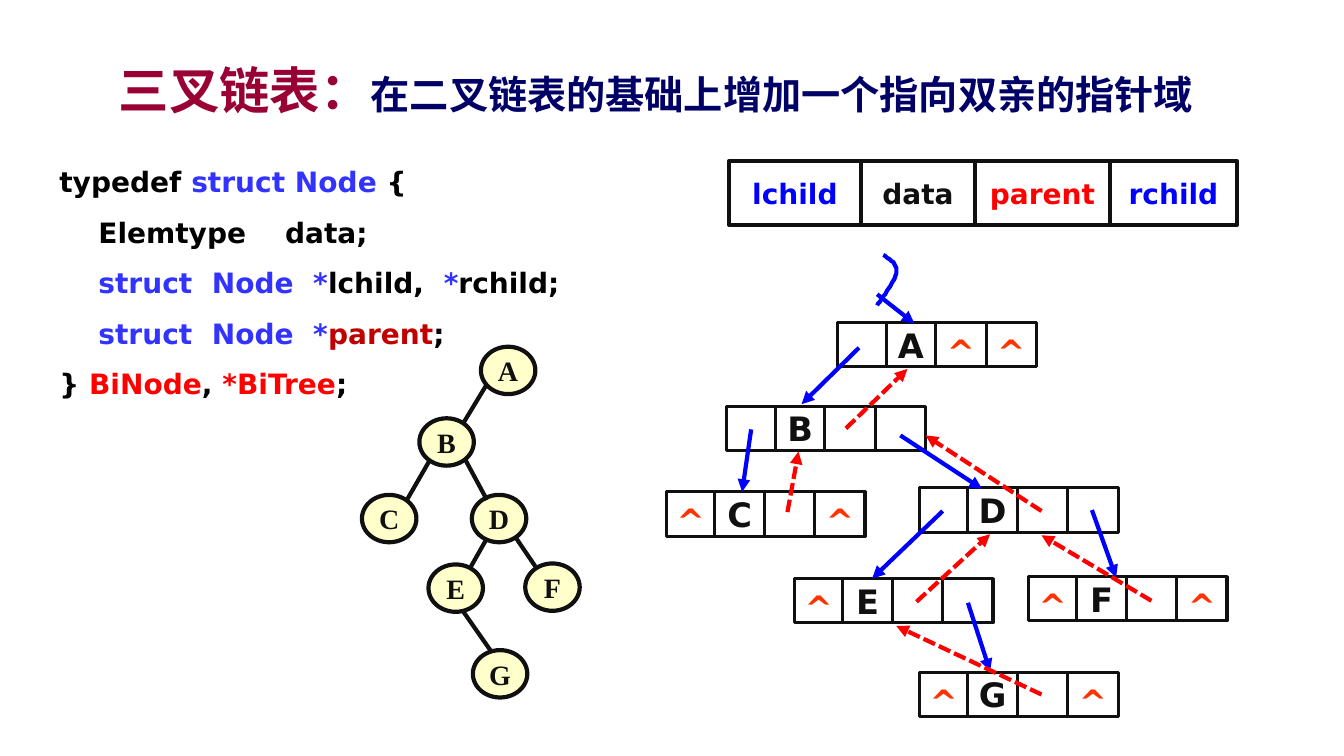
"""Build the slide on the trifurcate linked list of a binary tree."""
from itertools import pairwise

from lxml.etree import SubElement
from pptx import Presentation
from pptx.dml.color import RGBColor as RGB
from pptx.enum.dml import MSO_LINE as DASH
from pptx.enum.shapes import MSO_CONNECTOR as CONN, MSO_SHAPE as SHAPE
from pptx.enum.text import MSO_ANCHOR as ANCHOR, PP_ALIGN as ALIGN
from pptx.oxml.ns import qn
from pptx.util import Pt

PX = 9144
THEME = dict(
    sans="DejaVu Sans", serif="Times New Roman",
    black="000000", ink="101010", blue="0000FF", code="3333FF", red="FF0000",
    dark="C00000", caret="FF3300", oval="FFFFCC", title="990033", sub="000066",
    title_pt=36, sub_pt=28, letter_pt=24, body_pt=20, thick=3, thin=2.25)

TITLE = [("三叉链表：", "title", "title_pt"),
         ("在二叉链表的基础上增加一个指向双亲的指针域", "sub", "sub_pt")]
CODE = [
    [("typedef ", "black"), ("struct Node ", "code"), ("{", "black")],
    [("    Elemtype    data;", "black")],
    [("    struct  Node  *", "code"), ("lchild,  ", "black"), ("*", "code"), ("rchild;", "black")],
    [("    struct  Node  *", "code"), ("parent", "dark"), (";", "black")],
    [("} ", "black"), ("BiNode", "red"), (", ", "black"), ("*BiTree", "red"), (";", "black")],
]

OVAL_W, OVAL_H = 54, 47
TREE = {"A": (477, 344), "B": (416, 415), "C": (359, 491), "D": (468, 491),
        "E": (425, 560), "F": (521, 559), "G": (469, 645)}
BRANCHES = [(483, 381, 460, 419), (426, 457, 403, 497), (462, 457, 483, 496),
            (483, 534, 466, 564), (512, 534, 531, 562), (459, 606, 487, 646)]

FIELDS = [("lchild", "blue"), ("data", "ink"), ("parent", "red"), ("rchild", "blue")]
FIELD_TOP, FIELD_H, FIELD_EDGES = 160, 63, [723, 854, 967, 1101, 1227]
CELL_H, CELL_OFFSETS = 44, [0, 48, 97, 147, 197]
RECORDS = [(831, 320, " A^^"), (721, 403, " B  "), (661, 488, "^C ^"), (912, 484, " D  "),
           (788, 574, "^E  "), (1020, 572, "^F ^"), (912, 667, "^G ^")]
CHILD_LINKS = [(852, 345, 795, 401), (745, 426, 736, 488), (935, 507, 865, 574),
               (893, 432, 974, 485), (1083, 506, 1107, 573), (960, 598, 982, 666),
               (870, 292, 907, 321)]
PARENT_LINKS = [(839, 425, 900, 366), (781, 508, 792, 448), (1033, 507, 918, 432),
                (909, 597, 982, 530), (1033, 689, 889, 621), (1142, 596, 1033, 531)]
ROOT_CURVE = [[(876, 253), (883, 258), (890, 262), (889, 271)],
              [(889, 271), (888, 279), (873, 298), (870, 303)]]
CURVE_STEPS = 10

prs = Presentation()
prs.slide_width, prs.slide_height = 1333 * PX, 750 * PX
s = prs.slides.add_slide(prs.slide_layouts[6])


def color(name):
    return RGB.from_string(THEME[name])


def scaled(*lengths):
    return [v * PX for v in lengths]


def set_line(line, name, weight):
    line.color.rgb, line.width = color(name), Pt(THEME[weight])


def set_font(font, face, size):
    font.name, font.size, font.bold = THEME[face], Pt(THEME[size]), True


def set_frame(tf, top=0):
    tf.margin_left = tf.margin_right = tf.margin_bottom = 0
    tf.margin_top, tf.vertical_anchor = top * PX, ANCHOR.MIDDLE


def add_run(p, text, name):
    r = p.add_run()
    r.text, r.font.color.rgb = text, color(name)
    return r


def add_line(ends, name, weight, arrow=False, dashed=False):
    line = s.shapes.add_connector(CONN.STRAIGHT, *scaled(*ends))
    set_line(line.line, name, weight)
    if dashed:
        line.line.dash_style = DASH.SQUARE_DOT
    sp_pr = line._element.spPr
    if arrow:
        SubElement(sp_pr.find(qn("a:ln")), qn("a:tailEnd"), type="triangle")
    SubElement(sp_pr, qn("a:effectLst"))


def add_shape(kind, box, weight, fill=None):
    sp = s.shapes.add_shape(kind, *scaled(*box))
    sp.shadow.inherit = False
    if fill:
        sp.fill.solid()
        sp.fill.fore_color.rgb = color(fill)
    else:
        sp.fill.background()
    set_line(sp.line, "ink", weight)
    return sp


def add_cell(box, text, name, size, drop=0):
    tf = s.shapes.add_textbox(*scaled(*box)).text_frame
    set_frame(tf, drop)
    tf.word_wrap = False
    p = tf.paragraphs[0]
    p.text, p.alignment = text, ALIGN.CENTER
    set_font(p.font, "sans", size)
    p.font.color.rgb = color(name)


def add_record(edges, top, height, labels, weight, size):
    add_shape(SHAPE.RECTANGLE, (edges[0], top, edges[-1] - edges[0], height), weight)
    for x in edges[1:-1]:
        add_line((x, top, x, top + height), "ink", weight)
    for (left, right), (text, name) in zip(pairwise(edges), labels):
        if text.strip():
            drop = 12 if text == "^" else 0
            add_cell((left, top, right - left, height), text, name, size, drop)


def bezier(points, t):
    weights = [(1 - t) ** 3, 3 * t * (1 - t) ** 2, 3 * t * t * (1 - t), t ** 3]
    return tuple(sum(w * pt[axis] for w, pt in zip(weights, points)) for axis in (0, 1))


tf = s.shapes.add_textbox(*scaled(43, 59, 1215, 59)).text_frame
tf.word_wrap, tf.vertical_anchor = True, ANCHOR.MIDDLE
p = tf.paragraphs[0]
p.alignment = ALIGN.CENTER
p.font.name, p.font.bold = THEME["sans"], True
for text, name, size in TITLE:
    add_run(p, text, name).font.size = Pt(THEME[size])

tf = s.shapes.add_textbox(*scaled(49, 142, 579, 270)).text_frame
tf.word_wrap = False
for i, parts in enumerate(CODE):
    p = tf.add_paragraph() if i else tf.paragraphs[0]
    p.line_spacing = 1.5
    set_font(p.font, "sans", "body_pt")
    for text, name in parts:
        add_run(p, text, name)

for letter, (left, top) in TREE.items():
    sp = add_shape(SHAPE.OVAL, (left, top, OVAL_W, OVAL_H), "thick", "oval")
    tf = sp.text_frame
    set_frame(tf)
    tf.word_wrap = False
    p = tf.paragraphs[0]
    p.text, p.alignment = letter, ALIGN.CENTER
    set_font(p.font, "serif", "body_pt")
    p.font.color.rgb = color("ink")
for ends in BRANCHES:
    add_line(ends, "ink", "thick")

add_record(FIELD_EDGES, FIELD_TOP, FIELD_H, FIELDS, "thick", "body_pt")
for left, top, cells in RECORDS:
    labels = [(c, "caret" if c == "^" else "ink") for c in cells]
    add_record([left + x for x in CELL_OFFSETS], top, CELL_H, labels, "thin", "letter_pt")

for ends in CHILD_LINKS:
    add_line(ends, "blue", "thick", arrow=True)
for ends in PARENT_LINKS:
    add_line(ends, "red", "thick", arrow=True, dashed=True)

curve = [bezier(part, i / CURVE_STEPS) for part in ROOT_CURVE for i in range(1, CURVE_STEPS + 1)]
builder = s.shapes.build_freeform(*ROOT_CURVE[0][0], scale=PX)
builder.add_line_segments(curve, close=False)
root = builder.convert_to_shape()
root.shadow.inherit = False
root.fill.background()
set_line(root.line, "blue", "thick")

prs.save("out.pptx")
